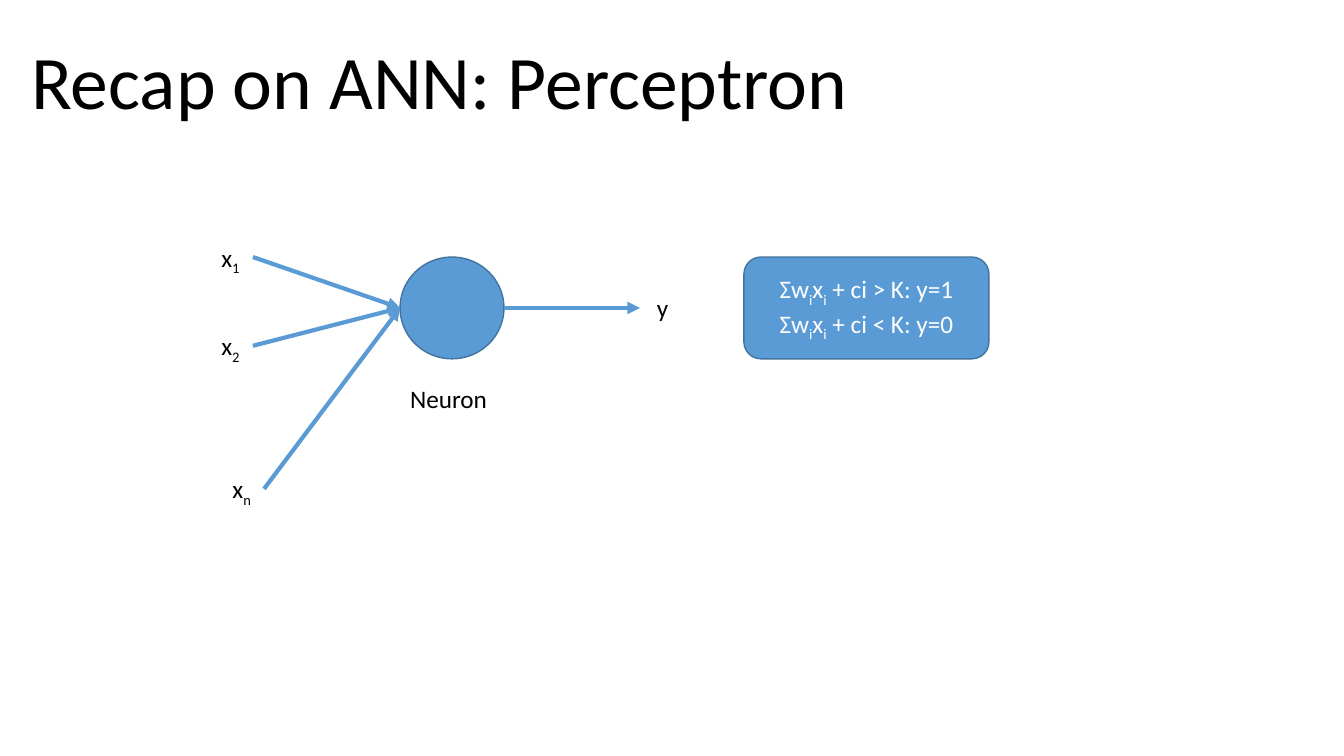
import pptx
import pptx.util
import pptx.dml.color
import pptx.enum.shapes
import pptx.enum.text
import pptx.oxml.ns
from lxml import etree

Pt = pptx.util.Pt
SHAPES = pptx.enum.shapes.MSO_SHAPE
ALIGN = pptx.enum.text.PP_ALIGN
ANCHOR = pptx.enum.text.MSO_ANCHOR

TITLE = "Recap on ANN: Perceptron"
INPUTS = [("x_1", 180.7, 183.6), ("x_2", 180.7, 247), ("x_n", 188.6, 349.2)]
OUTPUT = "y"
OUTPUT_END = 457.2
NEURON_LABEL = "Neuron"
RULES = ["Σw_ix_i + ci > K: y=1", "Σw_ix_i + ci < K: y=0"]

NEURON_BOX = (285.8, 183.6, 74.2, 72.7)
RULES_BOX = (531.4, 183.6, 175, 72.7)
TITLE_BOX = (15.1, 20.9, 735.8, 72.7)
LABEL_SIZE = (37.4, 28.8)
BLUE, DARK_BLUE, BLACK, WHITE = "5B9BD5", "43739E", "000000", "FFFFFF"


def color(value):
    return pptx.dml.color.RGBColor.from_string(value)


def write(shape, lines, size=18, fill=BLACK, align=ALIGN.LEFT, anchor=ANCHOR.TOP):
    frame = shape.text_frame
    frame.word_wrap = True
    frame.vertical_anchor = anchor
    for index, line in enumerate(lines):
        paragraph = frame.add_paragraph() if index else frame.paragraphs[0]
        paragraph.alignment = align
        first, *rest = line.split("_")
        pieces = [(first, False)]
        for part in rest:
            pieces += [(part[0], True), (part[1:], False)]
        for text, subscript in pieces:
            if not text:
                continue
            run = paragraph.add_run()
            run.text = text
            run.font.name = "Calibri"
            run.font.size = Pt(size)
            run.font.color.rgb = color(fill)
            if subscript:
                run._r.get_or_add_rPr().set("baseline", "-25000")


def add_label(slide, text, left, top, width=LABEL_SIZE[0]):
    box = slide.shapes.add_textbox(Pt(left), Pt(top), Pt(width), Pt(LABEL_SIZE[1]))
    write(box, [text])


def add_block(slide, kind, box):
    shape = slide.shapes.add_shape(kind, *map(Pt, box))
    shape.shadow.inherit = False
    shape.fill.solid()
    shape.fill.fore_color.rgb = color(BLUE)
    shape.line.color.rgb = color(DARK_BLUE)
    shape.line.width = Pt(1)
    return shape


def add_arrow(slide, start, end):
    straight = pptx.enum.shapes.MSO_CONNECTOR.STRAIGHT
    arrow = slide.shapes.add_connector(straight, *map(Pt, start + end))
    arrow.line.color.rgb = color(BLUE)
    arrow.line.width = Pt(3)
    qn = pptx.oxml.ns.qn
    etree.SubElement(arrow.line._get_or_add_ln(), qn("a:tailEnd"), type="triangle")
    etree.SubElement(arrow._element.spPr, qn("a:effectLst"))


def main():
    presentation = pptx.Presentation()
    presentation.slide_width = Pt(960)
    presentation.slide_height = Pt(540)
    slide = presentation.slides.add_slide(presentation.slide_layouts[5])

    title = slide.shapes.title
    title.left, title.top, title.width, title.height = map(Pt, TITLE_BOX)
    write(title, [TITLE], size=54)
    title.text_frame.auto_size = pptx.enum.text.MSO_AUTO_SIZE.NONE

    left, top, width, height = NEURON_BOX
    middle = top + height / 2
    half_label = LABEL_SIZE[1] / 2
    add_block(slide, SHAPES.OVAL, NEURON_BOX)
    add_label(slide, NEURON_LABEL, left, 270, 85)

    for text, x, y in INPUTS:
        add_arrow(slide, (x, y), (left, middle))
        add_label(slide, text, x - 29.7, y - half_label)

    add_arrow(slide, (left + width, middle), (OUTPUT_END, middle))
    add_label(slide, OUTPUT, OUTPUT_END + 5, middle - half_label)

    rules = add_block(slide, SHAPES.ROUNDED_RECTANGLE, RULES_BOX)
    write(rules, RULES, fill=WHITE, align=ALIGN.CENTER, anchor=ANCHOR.MIDDLE)

    presentation.save("out.pptx")


if __name__ == "__main__":
    main()
